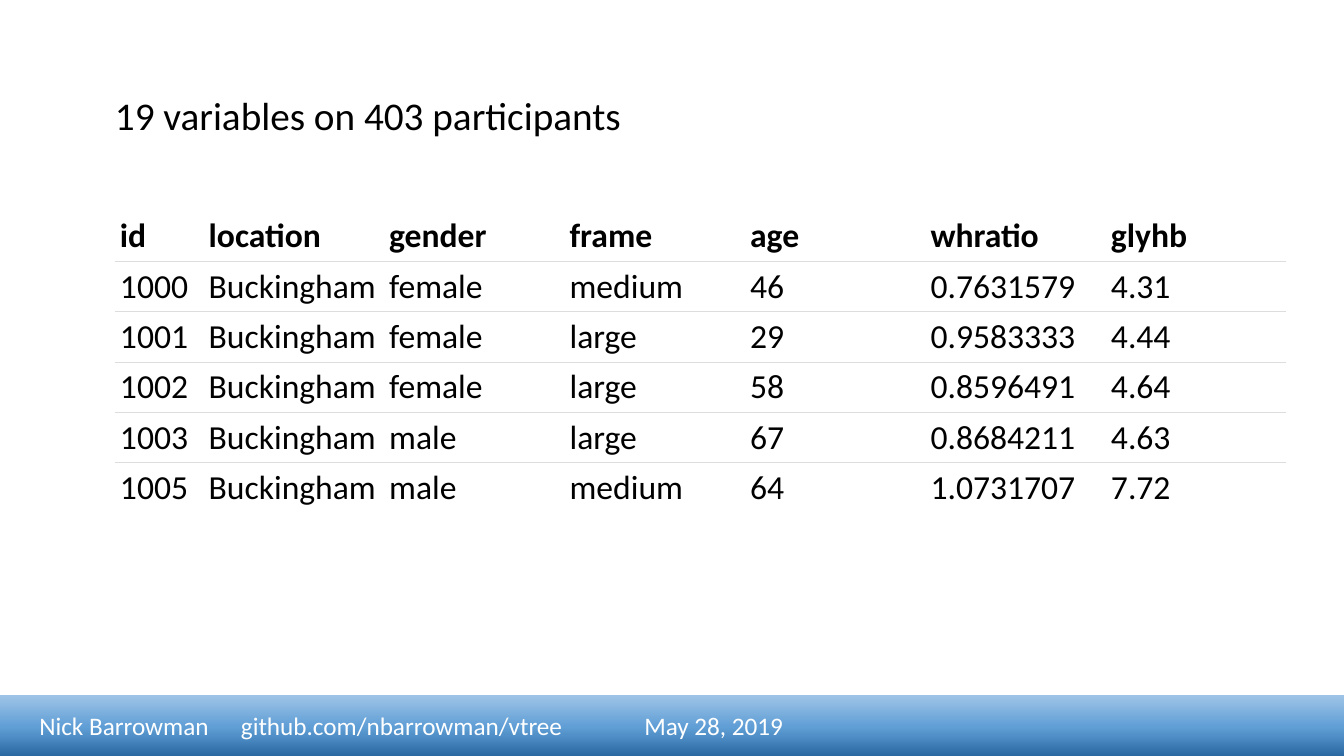
from dataclasses import dataclass

from lxml.etree import SubElement
from pptx import Presentation
from pptx.dml.color import RGBColor
from pptx.enum.shapes import MSO_SHAPE
from pptx.enum.text import MSO_ANCHOR, MSO_AUTO_SIZE, PP_ALIGN
from pptx.oxml import parse_xml
from pptx.oxml.ns import nsdecls, qn
from pptx.slide import Slide
from pptx.table import _Cell
from pptx.text.text import TextFrame
from pptx.util import Inches, Pt

COLORS = {
    "text": "000000",
    "paper": "FFFFFF",
    "rule": "DDDDDD",
    "footer_dark": "2A69A2",
    "footer_middle": "609ED6",
    "footer_light": "9DC3E6",
}
FONT = "Calibri"
PLAIN_TABLE_STYLE = "{2D5ABB26-0587-4C30-8999-92F81FD0307C}"
ROW_HEIGHT = 0.5
CELL_MARGIN = 0.05
FOOTER_TABS = (2, 6)


@dataclass
class Column:
    heading: str
    width: float
    values: list[str]


COLUMNS = [
    Column("id", 0.88, ["1000", "1001", "1002", "1003", "1005"]),
    Column("location", 1.79, ["Buckingham"] * 5),
    Column("gender", 1.79, ["female", "female", "female", "male", "male"]),
    Column("frame", 1.79, ["medium", "large", "large", "large", "medium"]),
    Column("age", 1.79, ["46", "29", "58", "67", "64"]),
    Column("whratio", 1.79, ["0.7631579", "0.9583333", "0.8596491", "0.8684211", "1.0731707"]),
    Column("glyhb", 1.79, ["4.31", "4.44", "4.64", "4.63", "7.72"]),
]


def write_text(frame: TextFrame, text: str, *, size: float, color: str = "text",
               bold: bool = False, anchor: MSO_ANCHOR = MSO_ANCHOR.TOP,
               tabs: tuple[float, ...] = ()) -> None:
    frame.vertical_anchor = anchor
    para = frame.paragraphs[0]
    para.alignment = PP_ALIGN.LEFT
    if tabs:
        tab_list = SubElement(para._p.get_or_add_pPr(), qn("a:tabLst"))
        for position in tabs:
            SubElement(tab_list, qn("a:tab"), pos=str(Inches(position)), algn="l")
    span = para.add_run()
    span.text = text
    span.font.name = FONT
    span.font.size = Pt(size)
    span.font.bold = bold
    span.font.color.rgb = RGBColor.from_string(COLORS[color])


def add_title(page: Slide) -> None:
    title = page.shapes.title
    title.left, title.top = Inches(1.04), Inches(0.86)
    title.width, title.height = Inches(11.81), Inches(0.57)
    title.text_frame.word_wrap = True
    title.text_frame.auto_size = MSO_AUTO_SIZE.SHAPE_TO_FIT_TEXT
    write_text(title.text_frame, "19 variables on 403 participants", size=28)


def add_footer(page: Slide) -> None:
    footer = page.shapes.add_shape(
        MSO_SHAPE.RECTANGLE, 0, Inches(6.9), Inches(13.33), Inches(0.6))
    footer.shadow.inherit = False
    footer.line.fill.background()
    stops = "".join(
        f'<a:gs pos="{percent * 1000}"><a:srgbClr val="{COLORS[name]}"/></a:gs>'
        for percent, name in ((0, "footer_dark"), (48, "footer_middle"), (100, "footer_light")))
    gradient = parse_xml(
        f'<a:gradFill {nsdecls("a")} rotWithShape="1"><a:gsLst>{stops}</a:gsLst>'
        f'<a:lin ang="{270 * 60000}" scaled="0"/></a:gradFill>')
    footer._element.spPr.find(qn("a:prstGeom")).addnext(gradient)
    frame = footer.text_frame
    frame.word_wrap = True
    frame.margin_left = frame.margin_right = Inches(0.39)
    write_text(frame, "Nick Barrowman\tgithub.com/nbarrowman/vtree\tMay 28, 2019",
               size=18, color="paper", anchor=MSO_ANCHOR.MIDDLE, tabs=FOOTER_TABS)


def add_rule(cell: _Cell, side: str) -> None:
    line = SubElement(cell._tc.get_or_add_tcPr(), qn(f"a:{side}"), w=str(Pt(0.75)))
    fill = SubElement(line, qn("a:solidFill"))
    SubElement(fill, qn("a:srgbClr"), val=COLORS["rule"])


def add_participants(page: Slide) -> None:
    row_count = len(COLUMNS[0].values) + 1
    width = sum(column.width for column in COLUMNS)
    holder = page.shapes.add_table(
        row_count, len(COLUMNS), Inches(1.14), Inches(2.09),
        Inches(width), Inches(ROW_HEIGHT * row_count))
    table = holder.table
    table.first_row = table.horz_banding = False
    table._tbl.tblPr.find(qn("a:tableStyleId")).text = PLAIN_TABLE_STYLE
    for column_index, column in enumerate(COLUMNS):
        table.columns[column_index].width = Inches(column.width)
        for row_index, text in enumerate([column.heading, *column.values]):
            cell = table.cell(row_index, column_index)
            is_heading = row_index == 0
            if not is_heading:
                add_rule(cell, "lnT")
            if row_index < row_count - 1:
                add_rule(cell, "lnB")
            cell.fill.solid()
            cell.fill.fore_color.rgb = RGBColor.from_string(COLORS["paper"])
            cell.margin_left = cell.margin_right = Inches(CELL_MARGIN)
            cell.margin_top = cell.margin_bottom = Inches(CELL_MARGIN)
            write_text(cell.text_frame, text, size=24, bold=is_heading)
            cell.vertical_anchor = MSO_ANCHOR.BOTTOM if is_heading else MSO_ANCHOR.TOP


def main() -> None:
    deck = Presentation()
    deck.slide_width, deck.slide_height = Inches(13.33), Inches(7.5)
    page = deck.slides.add_slide(deck.slide_layouts.get_by_name("Title Only"))
    add_footer(page)
    add_title(page)
    add_participants(page)
    deck.save("out.pptx")


if __name__ == "__main__":
    main()
